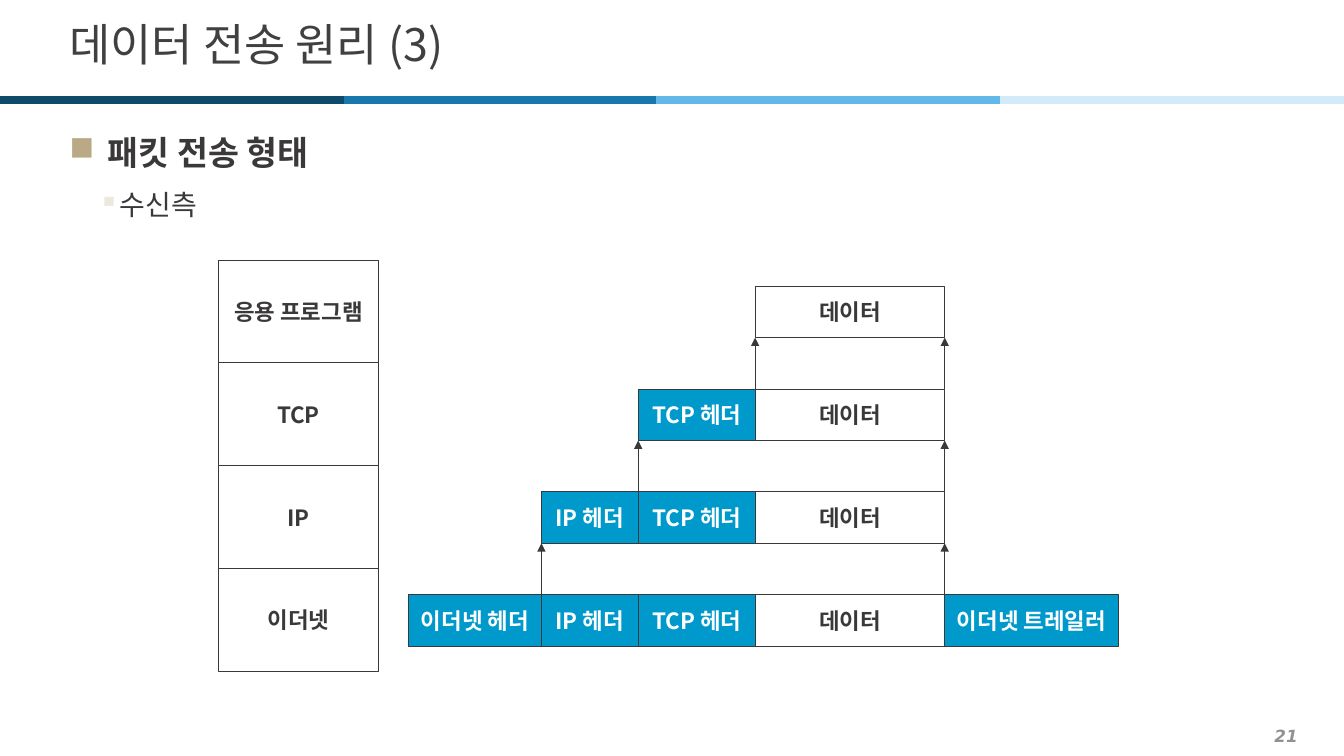
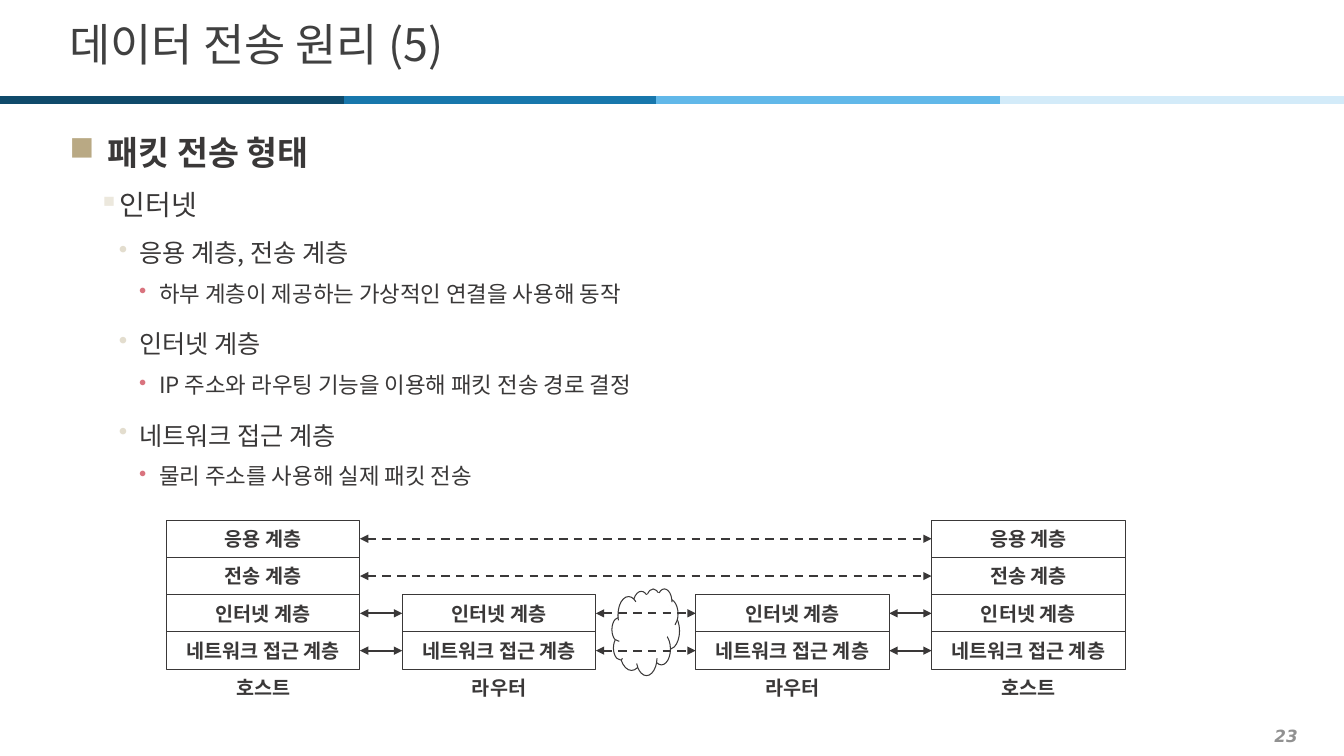
from dataclasses import dataclass
from itertools import pairwise

from lxml.etree import SubElement
from pptx import Presentation
from pptx.dml.color import RGBColor
from pptx.enum.dml import MSO_LINE
from pptx.enum.shapes import MSO_CONNECTOR, MSO_SHAPE
from pptx.enum.text import MSO_ANCHOR, PP_ALIGN
from pptx.oxml.ns import qn
from pptx.util import Inches, Pt


@dataclass(frozen=True)
class Theme:
    font: str = "Noto Sans CJK KR"
    number_font: str = "DejaVu Sans"
    ink: str = "3A3838"
    title: str = "404040"
    number: str = "919191"
    white: str = "FFFFFF"
    header: str = "0099CC"
    bands: tuple = ("0F4A6B", "1877AC", "61B8E9", "D3EBF9")
    title_size: int = 32
    number_size: int = 12
    packet_size: int = 16
    layer_size: int = 14
    thin: float = 0.75
    arrow: float = 1.5
    band: int = 6


T = Theme()
BAND_EDGES = (0, 3.41, 6.51, 9.92, 13.33)
LEVELS = (
    dict(size=24, bold=True, left=0.38, hang=0.38, bullet="■", color="B9A984", scale=100,
         spacing=dict(line_spacing=1.2, space_before=Pt(0), space_after=Pt(2))),
    dict(size=20, bold=False, left=0.49, hang=0.2, bullet="▪", color="ECE8DD", scale=100,
         spacing=dict(line_spacing=1.3, space_before=Pt(2), space_after=Pt(2))),
    dict(size=18, bold=False, left=0.69, hang=0.2, bullet="•", color="E3DDCE", scale=100,
         spacing=dict(line_spacing=1.2, space_before=Pt(5), space_after=Pt(6))),
    dict(size=16, bold=False, left=0.89, hang=0.2, bullet="•", color="D9737E", scale=96,
         spacing=dict(line_spacing=0.9, space_before=Pt(5), space_after=Pt(6))),
)

RECEIVER = dict(
    title="데이터 전송 원리 (3)", number="21",
    outline=[(0, "패킷 전송 형태"), (1, "수신측")],
)
LAYERS = ("응용 프로그램", "TCP", "IP", "이더넷")
FIELDS = ("이더넷 헤더", "IP 헤더", "TCP 헤더", "데이터", "이더넷 트레일러")
FIELD_EDGES = (4.05, 5.37, 6.33, 7.49, 9.37, 11.09)
PACKETS = ((3, 4), (2, 4), (1, 4), (0, 5))

INTERNET = dict(
    title="데이터 전송 원리 (5)", number="23",
    outline=[
        (0, "패킷 전송 형태"),
        (1, "인터넷"),
        (2, "응용 계층, 전송 계층"),
        (3, "하부 계층이 제공하는 가상적인 연결을 사용해 동작"),
        (2, "인터넷 계층"),
        (3, "IP 주소와 라우팅 기능을 이용해 패킷 전송 경로 결정"),
        (2, "네트워크 접근 계층"),
        (3, "물리 주소를 사용해 실제 패킷 전송"),
    ],
)
STACK_LAYERS = ("응용 계층", "전송 계층", "인터넷 계층", "네트워크 접근 계층")
STACKS = (("호스트", 1.65, 0), ("라우터", 3.99, 2), ("라우터", 6.9, 2), ("호스트", 9.24, 0))


def set_all(obj, values):
    for name, value in values.items():
        setattr(obj, name, value)


def rgb(color):
    return RGBColor.from_string(color)


def write(p, text, size, color, font=T.font, **style):
    r = p.add_run()
    r.text = text
    set_all(r.font, dict(size=Pt(size), name=font, **style))
    r.font.color.rgb = rgb(color)
    SubElement(r.font._element, qn("a:ea"), typeface=font)


def add_text(s, box, text, size, color, align=PP_ALIGN.LEFT, wrap=True, spacing=1, **style):
    sp = s.shapes.add_textbox(*map(Inches, box))
    set_all(sp.text_frame, dict(word_wrap=wrap, vertical_anchor=MSO_ANCHOR.MIDDLE))
    p = sp.text_frame.paragraphs[0]
    set_all(p, dict(alignment=align, line_spacing=spacing))
    write(p, text, size, color, **style)


def add_box(s, box, kind=MSO_SHAPE.RECTANGLE, fill=None, line=T.ink):
    sp = s.shapes.add_shape(kind, *map(Inches, box))
    sp.shadow.inherit = False
    if fill:
        sp.fill.solid()
        sp.fill.fore_color.rgb = rgb(fill)
    else:
        sp.fill.background()
    sp.line.color.rgb = rgb(line)
    sp.line.width = Pt(T.thin)
    return sp


def add_cell(s, box, text, size, header=False):
    sp = add_box(s, box, fill=T.header if header else None)
    tf = sp.text_frame
    set_all(tf, dict(word_wrap=False, vertical_anchor=MSO_ANCHOR.MIDDLE))
    p = tf.paragraphs[0]
    p.alignment = PP_ALIGN.CENTER
    write(p, text, size, T.white if header else T.ink, bold=True)


def add_line(s, start, end, color, width, ends=(), dashed=False):
    c = s.shapes.add_connector(MSO_CONNECTOR.STRAIGHT, *map(Inches, (*start, *end)))
    c.line.color.rgb = rgb(color)
    c.line.width = Pt(width)
    if dashed:
        c.line.dash_style = MSO_LINE.DASH
    ln = c.line._get_or_add_ln()
    for tag in ends:
        SubElement(ln, qn(tag), type="triangle")
    SubElement(c._element.spPr, qn("a:effectLst"))


def add_outline(s, outline):
    tf = s.shapes.add_textbox(*map(Inches, (0.59, 1.18, 12.21, 6.03))).text_frame
    tf.word_wrap = True
    for i, (level, text) in enumerate(outline):
        p = tf.add_paragraph() if i else tf.paragraphs[0]
        f = LEVELS[level]
        set_all(p, dict(level=level, **f["spacing"]))
        pPr = p._p.get_or_add_pPr()
        pPr.set("marL", str(Inches(f["left"])))
        pPr.set("indent", str(-Inches(f["hang"])))
        SubElement(SubElement(pPr, qn("a:buClr")), qn("a:srgbClr"), val=f["color"])
        SubElement(pPr, qn("a:buSzPct"), val=str(f["scale"] * 1000))
        SubElement(pPr, qn("a:buChar"), char=f["bullet"])
        write(p, text, f["size"], T.ink, bold=f["bold"])


def add_slide(prs, title, number, outline):
    s = prs.slides.add_slide(prs.slide_layouts[6])
    add_text(s, (0.2, 7.14, 12.77, 0.31), number, T.number_size, T.number,
             PP_ALIGN.RIGHT, font=T.number_font, bold=True, italic=True)
    for color, (left, right) in zip(T.bands, pairwise(BAND_EDGES)):
        add_line(s, (left, 0.99), (right, 0.99), color, T.band)
    add_text(s, (0.59, 0.13, 12.21, 0.68), title, T.title_size, T.title, spacing=0.9)
    add_outline(s, outline)
    return s


def draw_packets(s):
    top, pitch, height = 2.58, 1.02, 0.51
    for i, (layer, (first, last)) in enumerate(zip(LAYERS, PACKETS)):
        add_cell(s, (2.17, top + i * pitch, 1.58, pitch), layer, T.packet_size)
        y = 2.84 + i * pitch
        for k in range(first, last):
            left, right = FIELD_EDGES[k:k + 2]
            add_cell(s, (left, y, right - left, height), FIELDS[k], T.packet_size,
                     header=FIELDS[k] != "데이터")
        if i:
            for edge in PACKETS[i - 1]:
                x = FIELD_EDGES[edge]
                add_line(s, (x, y - pitch + height), (x, y), T.ink, T.thin, ["a:headEnd"])


def draw_stacks(s):
    top, width, height = 5.16, 1.92, 0.37
    cloud = add_box(s, (6.07, 5.84, 0.67, 0.86), MSO_SHAPE.CLOUD_CALLOUT, T.white)
    cloud.adjustments[0], cloud.adjustments[1] = 0.06, -0.06
    add_box(s, (6.32, 5.88, 0.34, 0.51), MSO_SHAPE.OVAL, T.white, T.white)
    for i, layer in enumerate(STACK_LAYERS):
        y = top + i * height
        lefts = [left for _, left, first in STACKS if i >= first]
        for left in lefts:
            add_cell(s, (left, y, width, height), layer, T.layer_size)
        for a, b in pairwise(lefts):
            add_line(s, (a + width, y + height / 2), (b, y + height / 2), T.ink, T.arrow,
                     ["a:headEnd", "a:tailEnd"], dashed=b - a - width > 0.5)
    for name, left, _ in STACKS:
        add_text(s, (left, top + len(STACK_LAYERS) * height, width, height), name,
                 T.layer_size, T.ink, PP_ALIGN.CENTER, wrap=False, bold=True)


def main():
    prs = Presentation()
    set_all(prs, dict(slide_width=Inches(13.33), slide_height=Inches(7.5)))
    draw_packets(add_slide(prs, **RECEIVER))
    draw_stacks(add_slide(prs, **INTERNET))
    prs.save("out.pptx")


if __name__ == "__main__":
    main()
